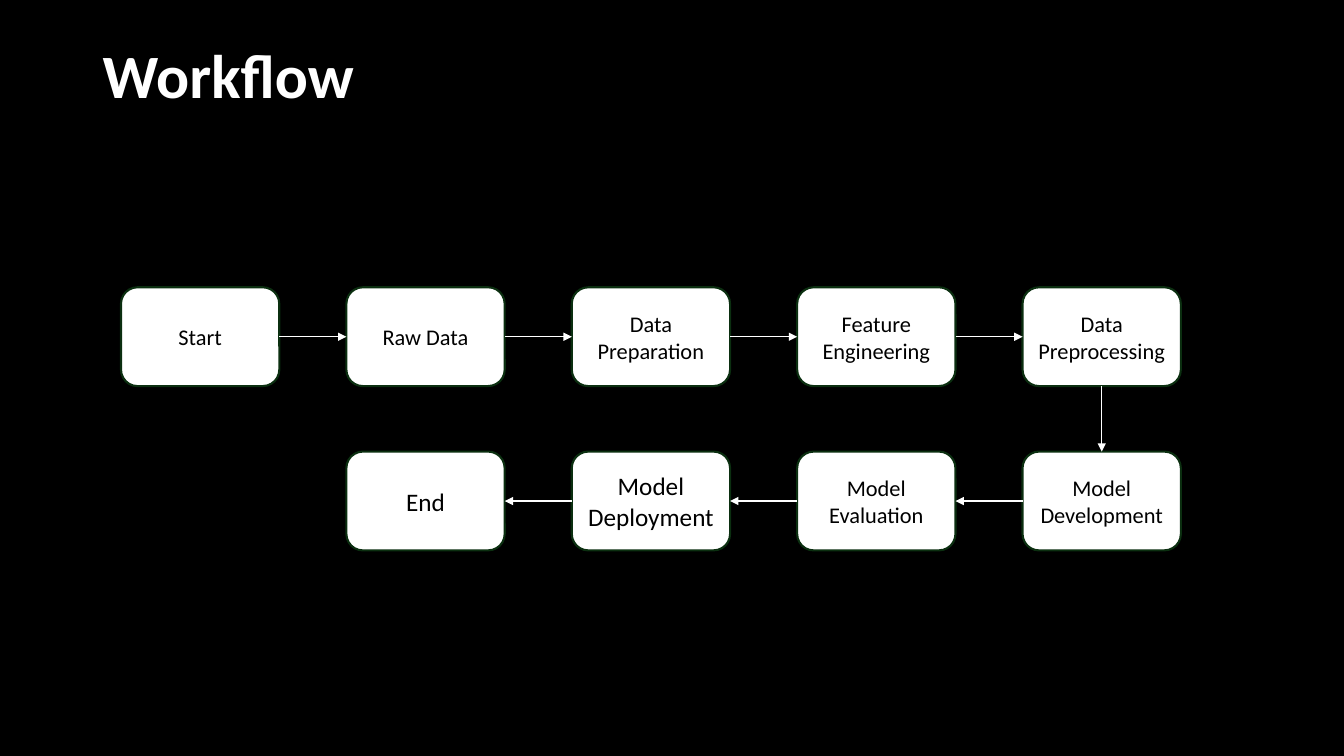
"""Build a slide showing a machine learning workflow as two rows of linked steps."""
from pptx import Presentation
from pptx import util as u
from pptx.dml.color import RGBColor
from pptx.enum import shapes, text
from pptx.oxml.ns import qn
from lxml import etree

COLORS = {"background": "000000", "title": "FFFFFF", "box": "FFFFFF",
          "outline": "0B2F10", "label": "000000", "arrow": "FFFFFF"}
FONT = "Calibri"
TOP, LEFT, BOTTOM, RIGHT = range(4)
BOX_WIDTH, BOX_HEIGHT = 3.99, 2.49
FIRST_LEFT, COLUMN_PITCH = 3.05, 5.68
ROW_TOPS = [7.24, 11.38]


def color(name):
    return RGBColor.from_string(COLORS[name])


def style_font(paragraph, size, name):
    paragraph.font.name = FONT
    paragraph.font.size = u.Pt(size)
    paragraph.font.color.rgb = color(name)


presentation = Presentation()
presentation.slide_width = u.Cm(33.87)
presentation.slide_height = u.Cm(19.05)
slide = presentation.slides.add_slide(presentation.slide_layouts[6])
slide.background.fill.solid()
slide.background.fill.fore_color.rgb = color("background")

title = slide.shapes.add_textbox(u.Cm(2.34), u.Cm(1.02), u.Cm(29.21), u.Cm(3.68))
title.text_frame.word_wrap = True
paragraph = title.text_frame.paragraphs[0]
paragraph.text = "Workflow"
paragraph.line_spacing = 0.9
paragraph.font.bold = True
style_font(paragraph, 44, "title")

steps = [
    ("Start", 0, 0, 16),
    ("Raw Data", 1, 0, 16),
    ("Data Preparation", 2, 0, 16),
    ("Feature Engineering", 3, 0, 16),
    ("Data Preprocessing", 4, 0, 16),
    ("Model Development", 4, 1, 16),
    ("Model Evaluation", 3, 1, 16),
    ("Model Deployment", 2, 1, 18),
    ("End", 1, 1, 18),
]
boxes = []
for label, column, row, size in steps:
    box = slide.shapes.add_shape(
        shapes.MSO_SHAPE.ROUNDED_RECTANGLE,
        u.Cm(FIRST_LEFT + column * COLUMN_PITCH), u.Cm(ROW_TOPS[row]),
        u.Cm(BOX_WIDTH), u.Cm(BOX_HEIGHT))
    box.shadow.inherit = False
    box.fill.solid()
    box.fill.fore_color.rgb = color("box")
    box.line.color.rgb = color("outline")
    box.line.width = u.Pt(1.5)
    box.text_frame.word_wrap = True
    box.text_frame.vertical_anchor = text.MSO_ANCHOR.MIDDLE
    paragraph = box.text_frame.paragraphs[0]
    paragraph.text = label
    paragraph.alignment = text.PP_ALIGN.CENTER
    style_font(paragraph, size, "label")
    boxes.append(box)

links = [(RIGHT, LEFT, 1)] * 4 + [(BOTTOM, TOP, 1), (LEFT, RIGHT, 1)] + [(LEFT, RIGHT, 1.5)] * 2
for source, target, (start, end, width) in zip(boxes, boxes[1:], links):
    arrow = slide.shapes.add_connector(shapes.MSO_CONNECTOR.STRAIGHT, 0, 0, 0, 0)
    arrow.begin_connect(source, start)
    arrow.end_connect(target, end)
    arrow.line.color.rgb = color("arrow")
    arrow.line.width = u.Pt(width)
    etree.SubElement(arrow.line._get_or_add_ln(), qn("a:tailEnd"), type="triangle")
    etree.SubElement(arrow._element.spPr, qn("a:effectLst"))

presentation.save("out.pptx")
